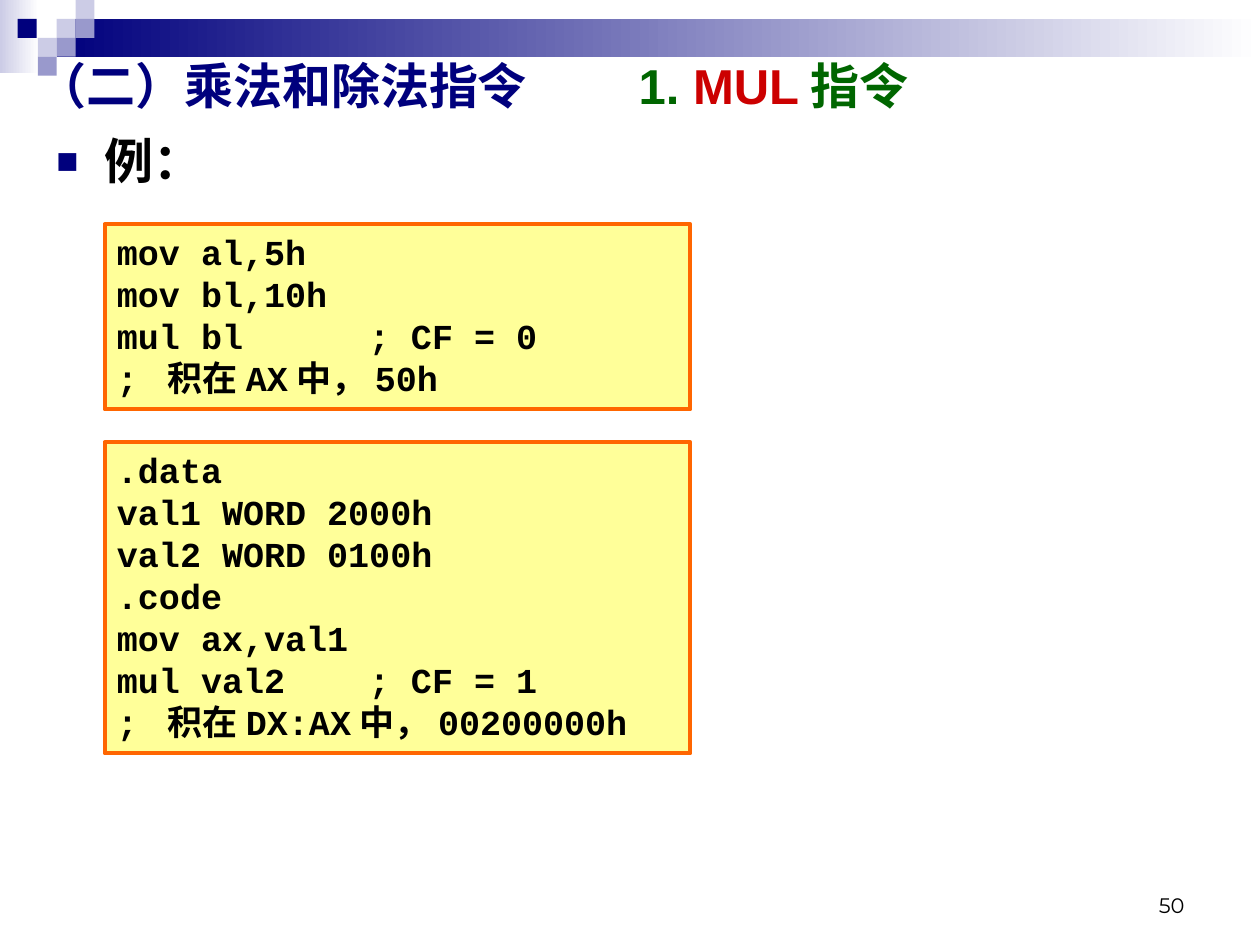
from pptx import Presentation
from pptx.dml.color import RGBColor
from pptx.enum.shapes import MSO_SHAPE
from pptx.enum.text import MSO_ANCHOR, PP_ALIGN
from pptx.util import Inches, Pt
from lxml.etree import SubElement
from pptx.oxml.ns import qn

COLORS = {
    "navy": "00007D", "violet": "9999CC", "lavender": "CCCCE6", "white": "FFFFFF",
    "black": "000000", "green": "006600", "red": "CC0000",
    "yellow": "FFFF99", "orange": "FF6600",
}


def rgb(name):
    return RGBColor.from_string(COLORS[name])


class SlideBuilder:
    heading_font = "Arial"
    code_font = "Courier New"
    number_font = "Montserrat"

    def __init__(self, slide):
        self.s = slide

    def rect(self, x, y, w, h, fill, fade=None):
        sp = self.s.shapes.add_shape(
            MSO_SHAPE.RECTANGLE, Inches(x), Inches(y), Inches(w), Inches(h))
        sp.shadow.inherit = False
        sp.line.fill.background()
        if fade:
            sp.fill.gradient()
            sp.fill.gradient_angle = 0
            for stop, name in zip(sp.fill.gradient_stops, (fill, fade)):
                stop.color.rgb = rgb(name)
        else:
            sp.fill.solid()
            sp.fill.fore_color.rgb = rgb(fill)
        return sp

    def style(self, r, font, size, color="black", bold=True):
        r.font.name = font
        r.font.size = Pt(size)
        r.font.bold = bold
        r.font.color.rgb = rgb(color)

    def text_box(self, x, y, w, h, anchor=MSO_ANCHOR.TOP):
        sp = self.s.shapes.add_textbox(Inches(x), Inches(y), Inches(w), Inches(h))
        tf = sp.text_frame
        tf.word_wrap = True
        tf.vertical_anchor = anchor
        return tf

    def title(self, parts, tab):
        p = self.text_box(0.2, 0.36, 9.61, 0.63, MSO_ANCHOR.MIDDLE).paragraphs[0]
        tabs = SubElement(p._p.get_or_add_pPr(), qn("a:tabLst"))
        SubElement(tabs, qn("a:tab"), pos=str(Inches(tab)), algn="l")
        for text, color in parts:
            r = p.add_run()
            r.text = text
            self.style(r, self.heading_font, 28, color)

    def bullet(self, text):
        p = self.text_box(0.35, 0.99, 9.37, 6.35).paragraphs[0]
        p.text = text
        self.style(p.runs[0], self.code_font, 28)
        pPr = p._p.get_or_add_pPr()
        pPr.set("marL", str(Inches(0.38)))
        pPr.set("indent", str(Inches(-0.38)))
        color = SubElement(pPr, qn("a:buClr"))
        SubElement(color, qn("a:srgbClr"), val=COLORS["navy"])
        SubElement(pPr, qn("a:buSzPct"), val="75000")
        SubElement(pPr, qn("a:buFont"), typeface=self.heading_font)
        SubElement(pPr, qn("a:buChar"), char="■")

    def code(self, y, h, lines):
        sp = self.rect(0.83, y, 4.65, h, "yellow")
        sp.line.color.rgb = rgb("orange")
        sp.line.width = Pt(2.25)
        tf = sp.text_frame
        tf.word_wrap = True
        tf.vertical_anchor = MSO_ANCHOR.TOP
        tf.text = "\n".join(lines)
        for p in tf.paragraphs:
            p.alignment = PP_ALIGN.LEFT
            for r in p.runs:
                self.style(r, self.code_font, 20)

    def page_number(self, number):
        p = self.text_box(7.17, 6.83, 2.33, 0.5, MSO_ANCHOR.BOTTOM).paragraphs[0]
        p.text = str(number)
        p.alignment = PP_ALIGN.RIGHT
        self.style(p.runs[0], self.number_font, 12, bold=False)


def main():
    prs = Presentation()
    prs.slide_width, prs.slide_height = Inches(10), Inches(7.5)
    b = SlideBuilder(prs.slides.add_slide(prs.slide_layouts[6]))

    b.rect(0, 0, 0.31, 0.58, "lavender", "white")
    b.rect(0.45, 0.15, 9.55, 0.3, "navy", "white")
    squares = [
        (0.45, 0.15, "lavender"), (0.6, 0, "lavender"), (0.6, 0.15, "violet"),
        (0.3, 0.3, "lavender"), (0.14, 0.15, "navy"), (0.45, 0.3, "violet"),
        (0.3, 0.45, "violet"),
    ]
    for x, y, color in squares:
        b.rect(x, y, 0.15, 0.15, color)

    b.page_number(50)
    b.bullet("例：")
    b.title([("（二）乘法和除法指令\t", "navy"), ("1. ", "green"),
             ("MUL", "red"), ("指令", "green")], tab=4.77)
    b.code(1.78, 1.47, ["mov al,5h", "mov bl,10h", "mul bl\t\t; CF = 0",
                        "; 积在AX中，50h"])
    b.code(3.51, 2.47, [".data", "val1 WORD 2000h", "val2 WORD 0100h", ".code",
                        "mov ax,val1", "mul val2\t\t; CF = 1",
                        "; 积在DX:AX中，00200000h"])
    prs.save("out.pptx")


if __name__ == "__main__":
    main()
